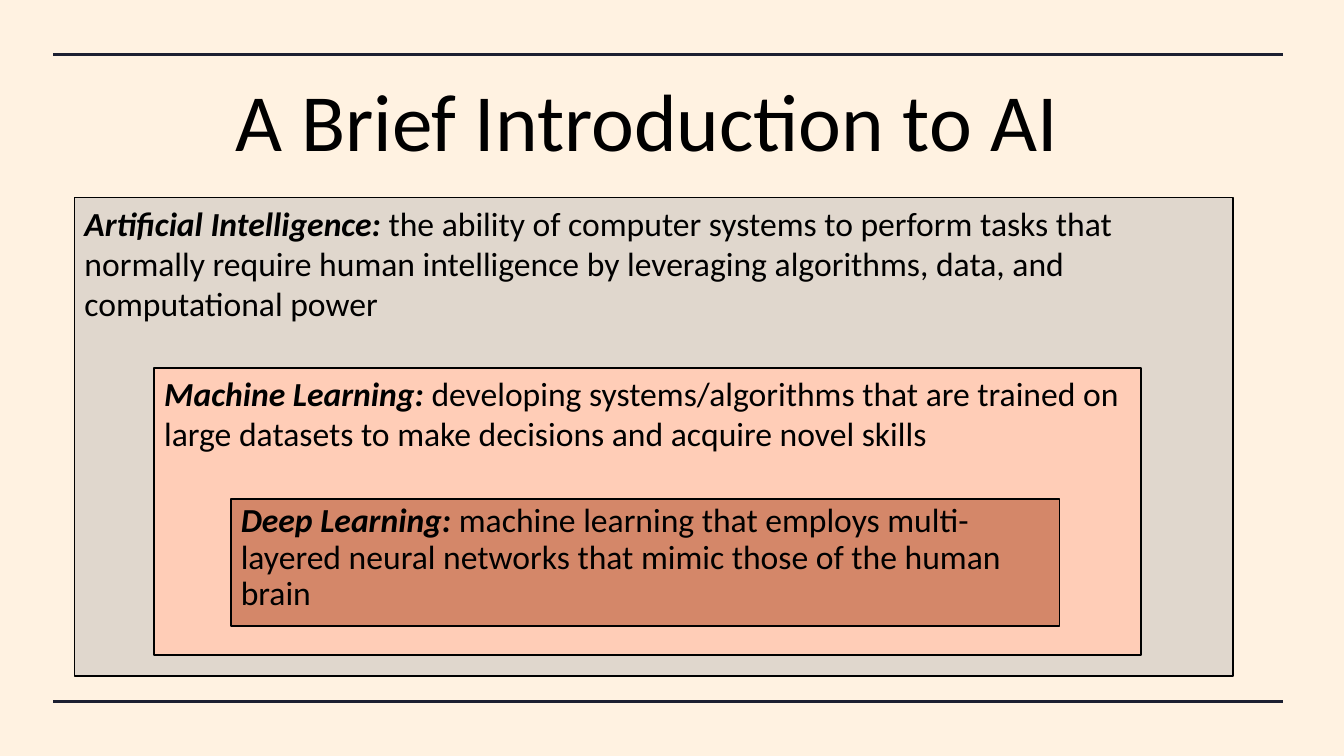
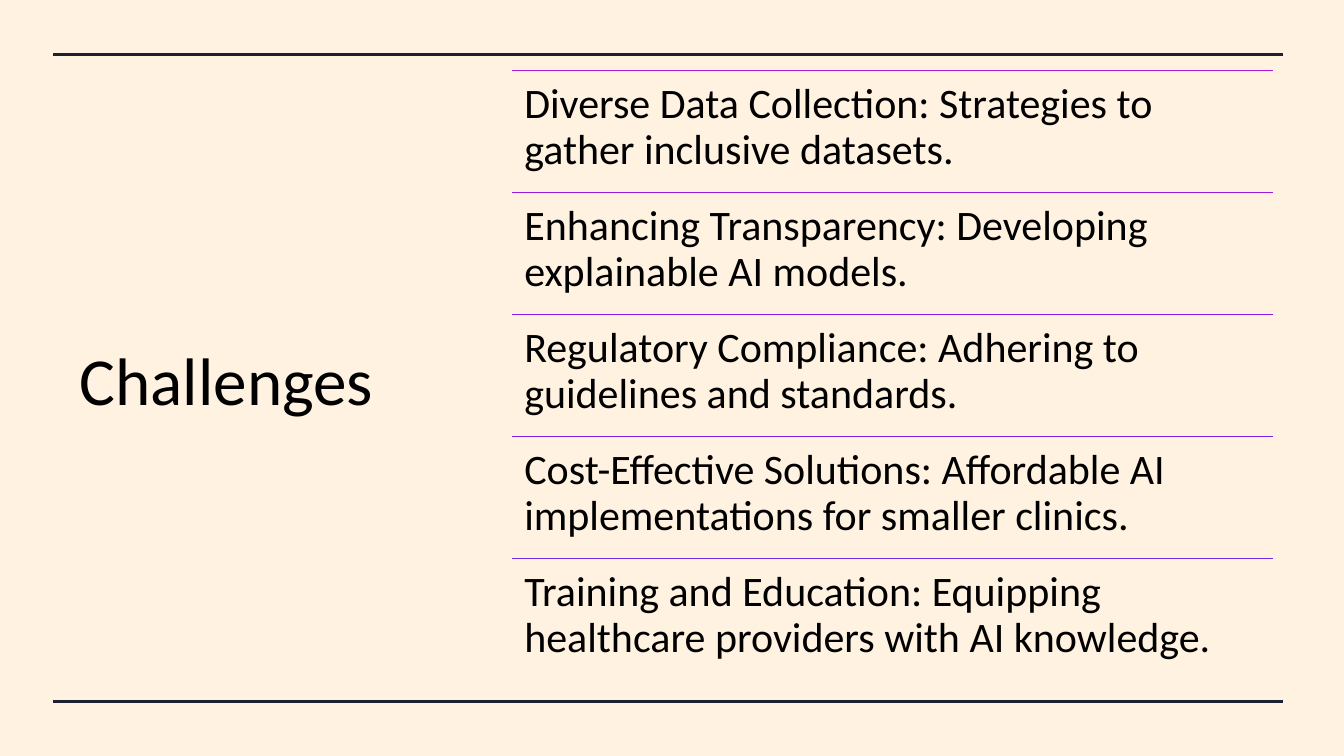
from typing import NamedTuple

from lxml import etree
from pptx import Presentation, util as u
from pptx.dml.color import RGBColor
from pptx.enum import shapes, text
from pptx.oxml import ns

FONT = "Calibri"
CREAM = RGBColor(0xFF, 0xF2, 0xE1)
NAVY = RGBColor(0x1C, 0x20, 0x31)
BLACK = RGBColor(0x00, 0x00, 0x00)
STONE = RGBColor(0xE0, 0xD7, 0xCD)
PEACH = RGBColor(0xFF, 0xCD, 0xB7)
CLAY = RGBColor(0xD4, 0x87, 0x69)
RULE_COLOURS = [
    RGBColor(0xAD, 0x17, 0xD5),
    RGBColor(0x9F, 0x18, 0xDD),
    RGBColor(0x90, 0x19, 0xE5),
    RGBColor(0x7F, 0x21, 0xE6),
    RGBColor(0x70, 0x29, 0xE7),
]


class Box(NamedTuple):
    left: float
    top: float
    width: float
    height: float

    def inner(self, left, top, width, height):
        """Return an inner box given in percent of this one."""
        return Box(
            self.left + self.width * left / 100,
            self.top + self.height * top / 100,
            self.width * width / 100,
            self.height * height / 100,
        )

    def split_rows(self, count):
        return [self.inner(0, 100 * row / count, 100, 100 / count) for row in range(count)]

    def lengths(self):
        return [u.Inches(length) for length in self]


PAGE = Box(0, 0, 13.33, 7.5)
FRAME = PAGE.inner(3.98, 7.2, 91.45, 85.6)

# Each term's box is given in percent of the box that encloses it.
DEFINITIONS = [
    ("Artificial Intelligence: ",
     "the ability of computer systems to perform tasks that normally require human "
     "intelligence by leveraging algorithms, data, and computational power",
     STONE, (5.55, 26.13, 86.2, 63.33), 1),
    ("Machine Learning: ",
     "developing systems/algorithms that are trained on large datasets to make "
     "decisions and acquire novel skills",
     PEACH, (6.88, 35.58, 85.2, 60), 1),
    ("Deep Learning: ",
     "machine learning that employs multi-layered neural networks that mimic those "
     "of the human brain",
     CLAY, (7.76, 45.61, 83.96, 44.21), 0.9),
]
CHALLENGES = [
    "Diverse Data Collection: Strategies to gather inclusive datasets.",
    "Enhancing Transparency: Developing explainable AI models.",
    "Regulatory Compliance: Adhering to guidelines and standards.",
    "Cost-Effective Solutions: Affordable AI implementations for smaller clinics.",
    "Training and Education: Equipping healthcare providers with AI knowledge.",
]


def write(shape, body, size, lead="", align=text.PP_ALIGN.LEFT,
          anchor=text.MSO_ANCHOR.TOP, spacing=1, inset=None):
    """Fill a shape with one paragraph, opened by an optional bold italic lead."""
    frame = shape.text_frame
    frame.word_wrap = True
    frame.vertical_anchor = anchor
    if inset is not None:
        frame.margin_left = frame.margin_right = u.Inches(inset)
        frame.margin_top = frame.margin_bottom = u.Inches(inset)
    para = frame.paragraphs[0]
    para.alignment = align
    para.line_spacing = spacing
    for words, strong in ((lead, True), (body, False)):
        if words:
            span = para.add_run()
            span.text = words
            span.font.name = FONT
            span.font.size = u.Pt(size)
            span.font.color.rgb = BLACK
            span.font.bold = span.font.italic = strong


def add_rule(page, box, colour, width):
    """Draw a line along the top edge of a box."""
    left, top, length, _ = box.lengths()
    rule = page.shapes.add_connector(
        shapes.MSO_CONNECTOR.STRAIGHT, left, top, left + length, top)
    rule.line.color.rgb = colour
    rule.line.width = u.Pt(width)
    etree.SubElement(rule._element.spPr, ns.qn("a:effectLst"))


def add_text(page, box, body, size, **style):
    write(page.shapes.add_textbox(*box.lengths()), body, size, **style)


def add_page(deck, title, title_box, size, align):
    """Add a slide with the shared background, frame lines and title."""
    page = deck.slides.add_slide(deck.slide_layouts[6])
    page.background.fill.solid()
    page.background.fill.fore_color.rgb = CREAM
    for edge in (0, 100):
        add_rule(page, FRAME.inner(0, edge, 100, 0), NAVY, 2.25)
    add_text(page, title_box, title, size, align=align, anchor=text.MSO_ANCHOR.MIDDLE)
    return page


def add_nested_definitions(page, box):
    for term, meaning, colour, share, spacing in DEFINITIONS:
        box = box.inner(*share)
        panel = page.shapes.add_shape(shapes.MSO_SHAPE.RECTANGLE, *box.lengths())
        panel.shadow.inherit = False
        panel.fill.solid()
        panel.fill.fore_color.rgb = colour
        panel.line.color.rgb = BLACK
        panel.line.width = u.Pt(1.25)
        write(panel, meaning, 24, lead=term, spacing=spacing)


def add_ruled_list(page, box):
    rows = box.split_rows(len(CHALLENGES))
    for row, challenge, colour in zip(rows, CHALLENGES, RULE_COLOURS):
        add_rule(page, row, colour, 1)
        add_text(page, row, challenge, 30, spacing=0.9, inset=0.12)


def main():
    deck = Presentation()
    deck.slide_width, deck.slide_height = PAGE.lengths()[2:]

    introduction = add_page(deck, "A Brief Introduction to AI",
                            PAGE.inner(4.5, 0, 87.25, 31.47), 58, text.PP_ALIGN.CENTER)
    add_nested_definitions(introduction, PAGE)

    challenges = add_page(deck, "Challenges",
                          PAGE.inner(5.18, 9.33, 28.06, 81.47), 48, text.PP_ALIGN.LEFT)
    add_ruled_list(challenges, PAGE.inner(38.11, 9.33, 56.64, 80.67))

    deck.save("out.pptx")


if __name__ == "__main__":
    main()
